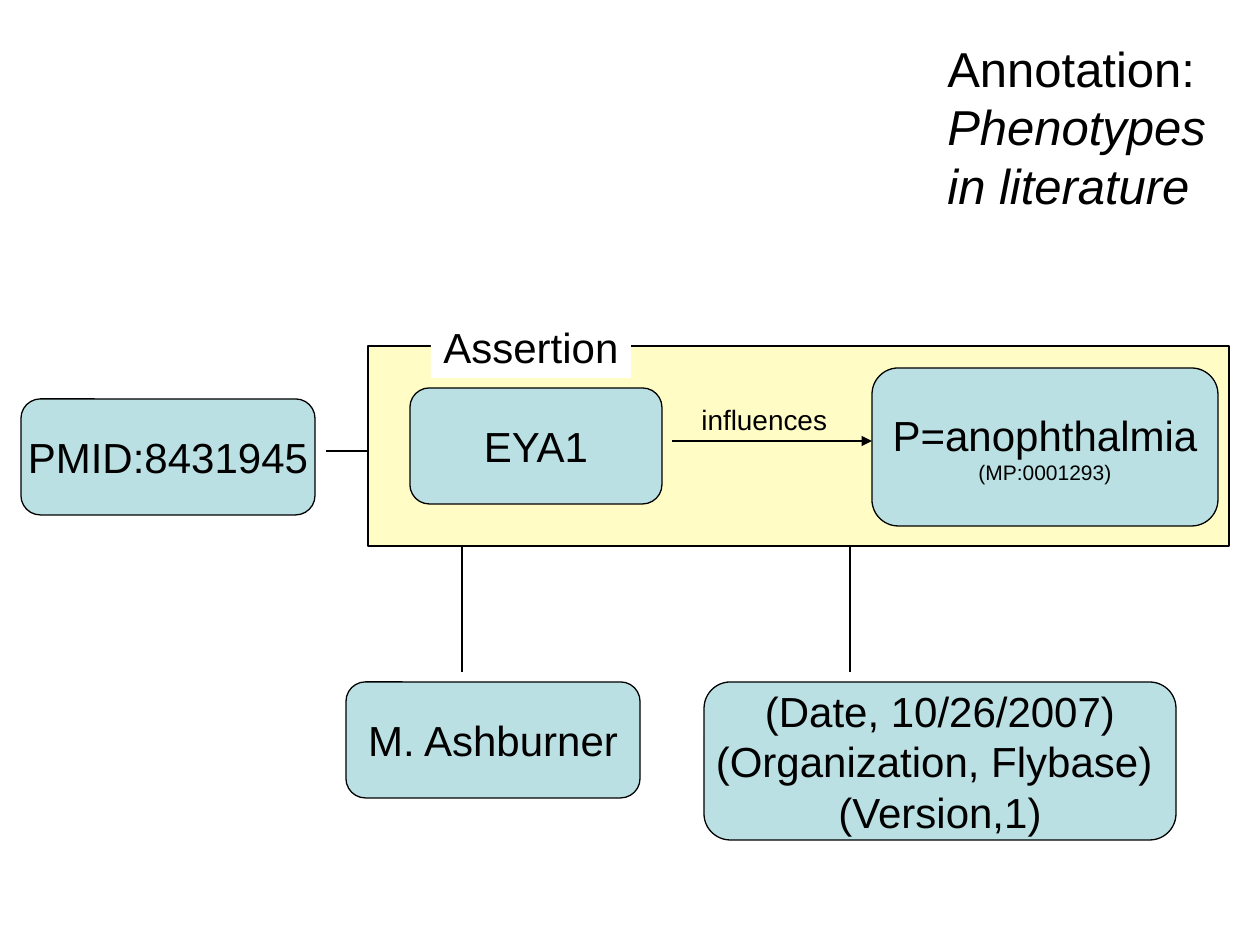
import pptx
import pptx.util
import pptx.dml.color
import pptx.enum.shapes
import pptx.enum.text
import pptx.oxml.ns
import lxml.etree

SCALE = 914400 / 126
HUES = {"ink": "000000", "node": "BBE0E3", "frame": "FFFCC5", "paper": "FFFFFF"}
KINDS = pptx.enum.shapes.MSO_SHAPE
ALIGN = pptx.enum.text.PP_ALIGN


def px(*nums):
    return [round(num * SCALE) for num in nums]


def hue(name):
    return pptx.dml.color.RGBColor.from_string(HUES[name])


def paint(fill, name):
    fill.solid()
    fill.fore_color.rgb = hue(name)


def ink(line):
    line.color.rgb = hue("ink")
    line.width = pptx.util.Pt(0.75)


def write(frame, lines, align):
    frame.word_wrap = False
    for pos, (text, size, slant) in enumerate(lines):
        para = frame.paragraphs[0] if pos == 0 else frame.add_paragraph()
        para.text = text
        para.alignment = align
        font = para.font
        font.name = "Arial"
        font.size = pptx.util.Pt(size)
        font.italic = slant
        font.color.rgb = hue("ink")


def panel(slide, kind, area, fill):
    shape = slide.shapes.add_shape(kind, *px(*area))
    shape.shadow.inherit = False
    paint(shape.fill, fill)
    ink(shape.line)
    return shape


def node(slide, area, *lines):
    shape = panel(slide, KINDS.ROUNDED_RECTANGLE, area, "node")
    shape.text_frame.vertical_anchor = pptx.enum.text.MSO_ANCHOR.MIDDLE
    write(shape.text_frame, lines, ALIGN.CENTER)


def label(slide, area, *lines, fill=None):
    box = slide.shapes.add_textbox(*px(*area))
    if fill:
        paint(box.fill, fill)
    write(box.text_frame, lines, ALIGN.LEFT)
    box.text_frame.auto_size = pptx.enum.text.MSO_AUTO_SIZE.SHAPE_TO_FIT_TEXT


def link(slide, ends, arrow=False):
    line = slide.shapes.add_connector(
        pptx.enum.shapes.MSO_CONNECTOR.STRAIGHT, *px(*ends))
    ink(line.line)
    qn = pptx.oxml.ns.qn
    if arrow:
        tip = lxml.etree.SubElement(line.line._get_or_add_ln(), qn("a:tailEnd"))
        tip.set("type", "triangle")
    lxml.etree.SubElement(line._element.spPr, qn("a:effectLst"))


def main():
    deck = pptx.Presentation()
    deck.slide_width, deck.slide_height = px(1260, 945)
    slide = deck.slides.add_slide(deck.slide_layouts[6])

    panel(slide, KINDS.RECTANGLE, (368, 346, 861, 200), "frame")
    node(slide, (410, 388, 252, 116), ("EYA1", 24, False))
    node(slide, (872, 368, 346, 158),
         ("P=anophthalmia", 24, False), ("(MP:0001293)", 12, False))
    node(slide, (21, 399, 294, 116), ("PMID:8431945", 24, False))
    node(slide, (346, 682, 294, 116), ("M. Ashburner", 24, False))
    node(slide, (704, 682, 472, 158),
         ("(Date, 10/26/2007)", 24, False),
         ("(Organization, Flybase) ", 24, False),
         ("(Version,1)", 24, False))

    link(slide, (672, 441, 872, 441), arrow=True)
    link(slide, (326, 451, 368, 451))
    for left in (462, 850):
        link(slide, (left, 546, left, 672))

    label(slide, (689, 396, 151, 47), ("influences", 16, False))
    label(slide, (431, 315, 200, 63), ("Assertion", 24, False), fill="paper")
    label(slide, (935, 32, 297, 189),
          ("Annotation:", 28, False),
          ("Phenotypes", 28, True),
          ("in literature", 28, True))
    deck.save("out.pptx")


if __name__ == "__main__":
    main()
